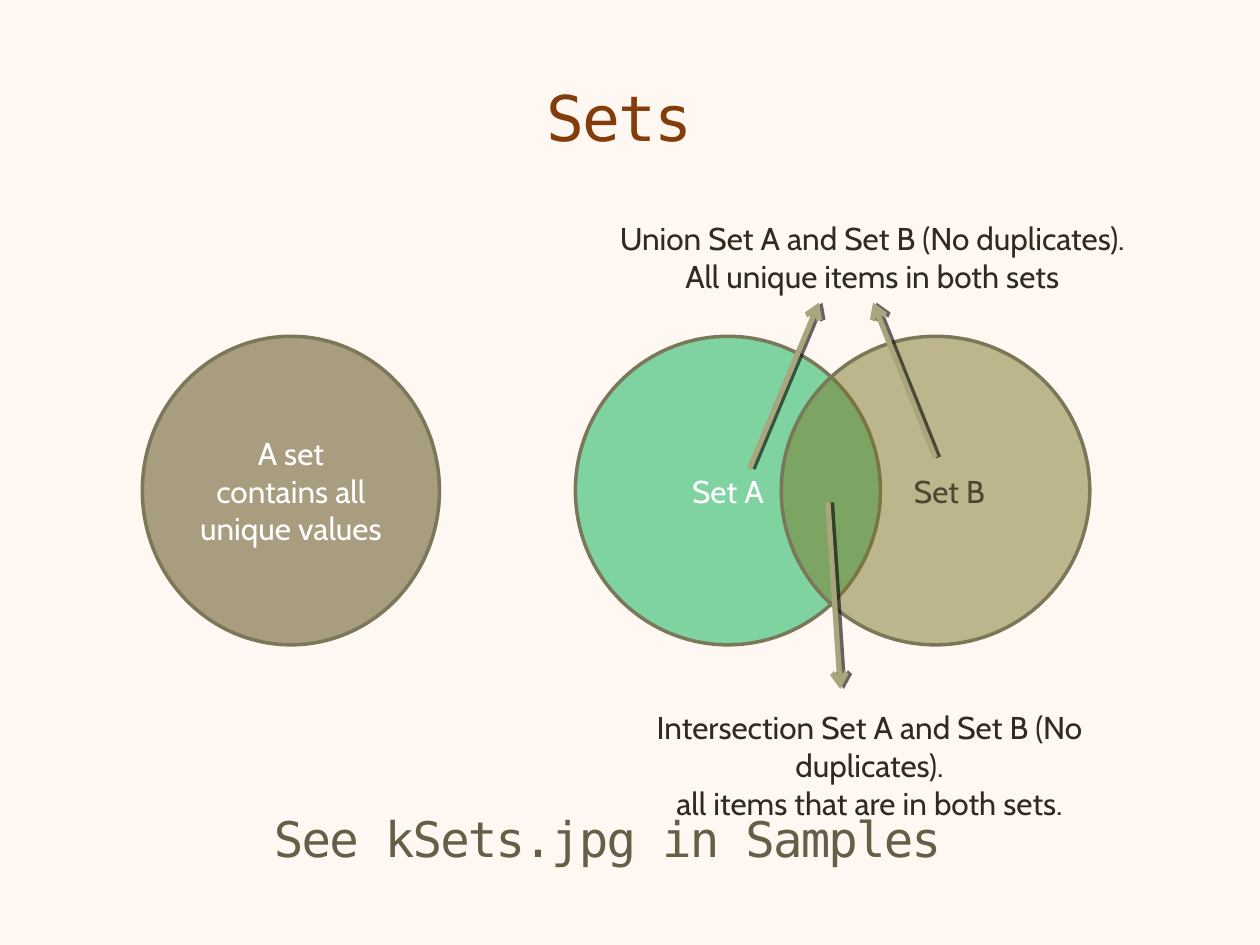
"""Build a slide that explains sets, unions and intersections with a Venn diagram."""
from dataclasses import dataclass

from lxml import etree
from pptx import Presentation
from pptx.dml.color import RGBColor
from pptx.enum.shapes import MSO_CONNECTOR, MSO_SHAPE
from pptx.enum.text import MSO_ANCHOR, MSO_AUTO_SIZE, PP_ALIGN
from pptx.oxml.ns import qn
from pptx.util import Cm, Pt

OVAL = MSO_SHAPE.OVAL
STRAIGHT = MSO_CONNECTOR.STRAIGHT
CENTER = PP_ALIGN.CENTER
MIDDLE = MSO_ANCHOR.MIDDLE
GROW = MSO_AUTO_SIZE.SHAPE_TO_FIT_TEXT

SANS = "Cabin"
MONO = "DejaVu Sans Mono"
COLORS = {
    "paper": "FEF7F2",
    "title": "843C0B",
    "note": "675E47",
    "ink": "2F2B20",
    "white": "FFFFFF",
    "umber": "4D4635",
    "outline": "7B7859",
    "arrow": "A9A57C",
    "shadow": "000000",
    "plain": "A89D7F",
    "set_a": "00B050",
    "set_b": "7A7425",
}
CIRCLE_TOP = 6.78
CIRCLE_HEIGHT = 6.22
INSET = 0.2


@dataclass(frozen=True)
class TextStyle:
    font: str
    size: int
    color: str
    spacing: int = 0


@dataclass(frozen=True)
class SetCircle:
    left: float
    width: float
    fill: str
    opacity: int
    lines: tuple[str, ...]
    text_color: str
    left_inset: float = INSET


@dataclass(frozen=True)
class Arrow:
    start: tuple[float, float]
    end: tuple[float, float]


@dataclass(frozen=True)
class Caption:
    left: float
    top: float
    width: float
    height: float
    lines: tuple[str, ...]
    style: TextStyle


TITLE_STYLE = TextStyle(MONO, 36, "title", -100)
NOTE_STYLE = TextStyle(MONO, 28, "note", -100)
CAPTION_STYLE = TextStyle(SANS, 18, "ink")

CIRCLES = (
    SetCircle(2.87, 5.99, "plain", 100,
              ("A set", "contains all unique values"), "white"),
    SetCircle(11.6, 6.15, "set_a", 50, ("Set A",), "white"),
    SetCircle(15.75, 6.22, "set_b", 49, ("Set B",), "umber", 0.76),
)
ARROWS = (
    Arrow((16.69, 10.13), (16.94, 13.89)),
    Arrow((15.11, 9.45), (16.51, 6.1)),
    Arrow((18.85, 9.22), (17.6, 6.1)),
)
CAPTIONS = (
    Caption(12.24, 4.29, 10.69, 1.8,
            ("Union Set A and Set B (No duplicates).",
             "All unique items in both sets"), CAPTION_STYLE),
    Caption(11.61, 14.15, 11.84, 1.8,
            ("Intersection Set A and Set B (No duplicates).",
             "all items that are in both sets."), CAPTION_STYLE),
    Caption(4.04, 16.18, 16.41, 1.45,
            ("See kSets.jpg in Samples",), NOTE_STYLE),
)


def rgb(name: str) -> RGBColor:
    """Return the named colour."""
    return RGBColor.from_string(COLORS[name])


def write_lines(frame, lines: tuple[str, ...], style: TextStyle) -> None:
    """Write centred lines into the first paragraph of a text frame."""
    frame.word_wrap = True
    para = frame.paragraphs[0]
    para.alignment = CENTER
    for index, line in enumerate(lines):
        if index:
            para.add_line_break()
        span = para.add_run()
        span.text = line
        span.font.name = style.font
        span.font.size = Pt(style.size)
        span.font.color.rgb = rgb(style.color)
        if style.spacing:
            span.font._element.set("spc", str(style.spacing))


def add_alpha(color_element, percent: int) -> None:
    """Set the opacity of a colour element."""
    etree.SubElement(color_element, qn("a:alpha"), val=str(percent * 1000))


def draw_circle(page, circle: SetCircle) -> None:
    """Draw one set with its label."""
    oval = page.shapes.add_shape(OVAL, Cm(circle.left), Cm(CIRCLE_TOP),
                                 Cm(circle.width), Cm(CIRCLE_HEIGHT))
    oval.shadow.inherit = False
    oval.fill.solid()
    oval.fill.fore_color.rgb = rgb(circle.fill)
    if circle.opacity < 100:
        add_alpha(oval.element.spPr.find(
            f"{qn('a:solidFill')}/{qn('a:srgbClr')}"), circle.opacity)
    oval.line.color.rgb = rgb("outline")
    oval.line.width = Pt(2)
    frame = oval.text_frame
    frame.vertical_anchor = MIDDLE
    frame.margin_left = Cm(circle.left_inset)
    frame.margin_right = Cm(INSET)
    write_lines(frame, circle.lines, TextStyle(SANS, 18, circle.text_color))


def draw_arrow(page, arrow: Arrow) -> None:
    """Draw an arrow with a hard shadow to its right."""
    line = page.shapes.add_connector(STRAIGHT, *map(Cm, arrow.start + arrow.end))
    line.line.color.rgb = rgb("arrow")
    line.line.width = Pt(3)
    properties = line.element.spPr
    etree.SubElement(properties.find(qn("a:ln")), qn("a:tailEnd"), type="arrow")
    effects = etree.SubElement(properties, qn("a:effectLst"))
    shadow = etree.SubElement(effects, qn("a:outerShdw"), blurRad="0",
                              dist=str(Pt(2)), dir="0", rotWithShape="0")
    add_alpha(etree.SubElement(shadow, qn("a:srgbClr"), val=COLORS["shadow"]), 60)


def draw_caption(page, caption: Caption) -> None:
    """Draw a text box that grows with its text."""
    box = page.shapes.add_textbox(Cm(caption.left), Cm(caption.top),
                                  Cm(caption.width), Cm(caption.height))
    write_lines(box.text_frame, caption.lines, caption.style)
    box.text_frame.auto_size = GROW


def main() -> None:
    """Build and save the deck."""
    deck = Presentation()
    deck.slide_width, deck.slide_height = Cm(25.4), Cm(19.05)
    page = deck.slides.add_slide(deck.slide_layouts.get_by_name("Title Only"))
    page.background.fill.solid()
    page.background.fill.fore_color.rgb = rgb("paper")

    title = page.shapes.title
    title.left, title.top = Cm(0.3), Cm(0.76)
    title.width, title.height = Cm(24.38), Cm(3.18)
    title.text_frame.vertical_anchor = MIDDLE
    write_lines(title.text_frame, ("Sets",), TITLE_STYLE)

    for circle in CIRCLES:
        draw_circle(page, circle)
    for arrow in ARROWS:
        draw_arrow(page, arrow)
    for caption in CAPTIONS:
        draw_caption(page, caption)
    deck.save("out.pptx")


if __name__ == "__main__":
    main()
